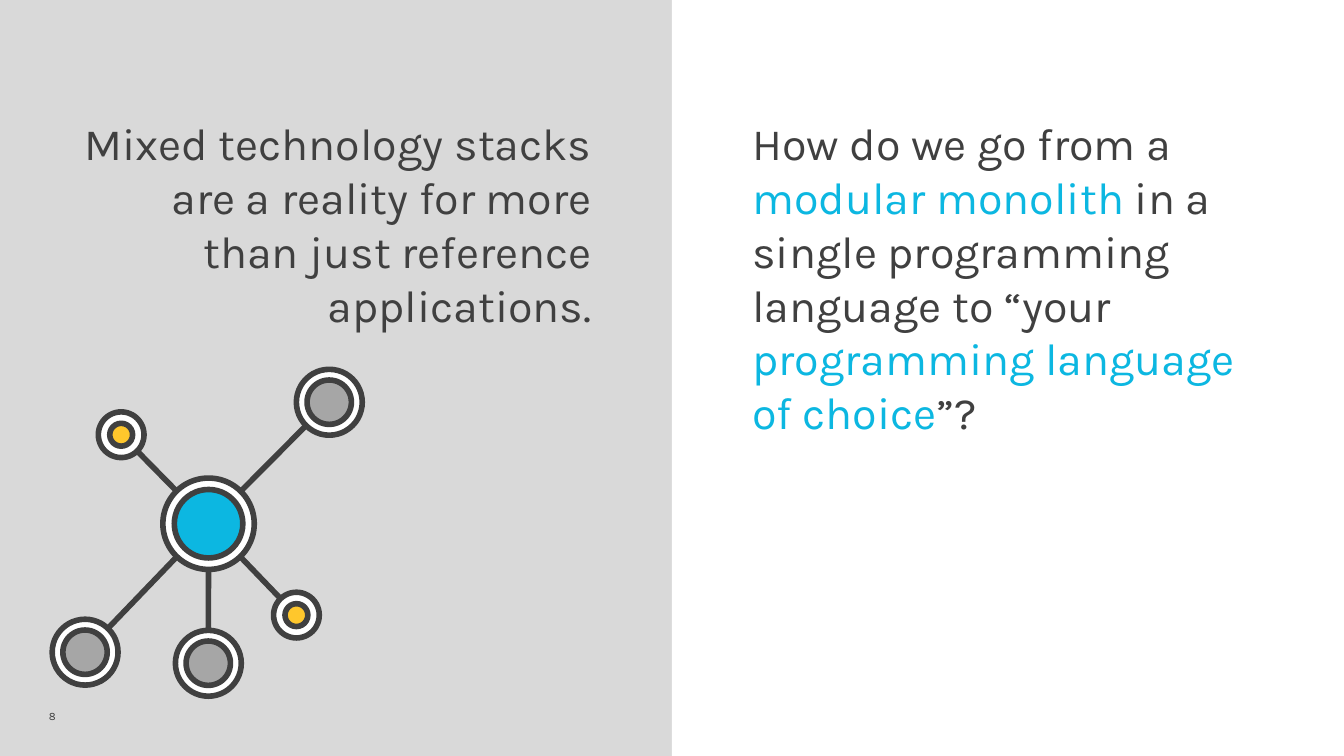
from math import hypot

from lxml import etree
from pptx import Presentation
from pptx.dml.color import RGBColor
from pptx.enum.shapes import MSO_CONNECTOR, MSO_SHAPE
from pptx.enum.text import MSO_ANCHOR, PP_ALIGN
from pptx.oxml.ns import qn
from pptx.util import Inches, Pt

LINE = MSO_CONNECTOR.STRAIGHT
RECT, OVAL = MSO_SHAPE.RECTANGLE, MSO_SHAPE.OVAL
TOP, MIDDLE = MSO_ANCHOR.TOP, MSO_ANCHOR.MIDDLE
LEFT, CENTER, RIGHT = PP_ALIGN.LEFT, PP_ALIGN.CENTER, PP_ALIGN.RIGHT

DARK, WHITE, PALE = "404040", "FFFFFF", "D9D9D9"
BLUE, GOLD, GRAY = "0CB7E1", "FFC72C", "A6A6A6"

HUB = (15.52, 38.97, 6.8, 5.1, BLUE)
NODES = [
    (24.5, 29.93, 4.9, 3.3, GRAY),
    (9.02, 32.35, 3.4, 1.7, GOLD),
    (22.06, 45.77, 3.4, 1.7, GOLD),
    (6.33, 48.53, 4.9, 3.3, GRAY),
    (15.5, 49.35, 4.9, 3.3, GRAY),
]


def color(code):
    """Turn a hex string into a colour."""
    return RGBColor.from_string(code)


class Deck:
    """Hold the style and the current slide, on a grid of 100 columns."""

    font = "Karla"
    stroke = Pt(3)

    def __init__(self, wide):
        """Start a 16:9 deck with one blank slide."""
        self.file = Presentation()
        self.file.slide_width = Inches(wide)
        self.file.slide_height = Inches(wide * 9 / 16)
        self.cell = self.file.slide_width / 100
        self.slide = self.file.slides.add_slide(self.file.slide_layouts[6])

    def grid(self, *units):
        """Turn grid units into lengths."""
        return [round(unit * self.cell) for unit in units]

    def back(self, fill):
        """Colour the background."""
        paint = self.slide.background.fill
        paint.solid()
        paint.fore_color.rgb = color(fill)

    def shape(self, kind, box, fill, edge=None, home=None):
        """Add a filled shape, outlined if an edge colour is given."""
        item = (home or self.slide).shapes.add_shape(kind, *self.grid(*box))
        item.shadow.inherit = False
        item.fill.solid()
        item.fill.fore_color.rgb = color(fill)
        if edge:
            item.line.color.rgb = color(edge)
            item.line.width = self.stroke
        else:
            item.line.fill.background()

    def text(self, box, runs, size, align=LEFT, anchor=TOP):
        """Add a wrapped text box of coloured runs."""
        frame = self.slide.shapes.add_textbox(*self.grid(*box)).text_frame
        for name, value in {"word_wrap": True, "vertical_anchor": anchor}.items():
            setattr(frame, name, value)
        para = frame.paragraphs[0]
        para.alignment = align
        look = {"name": self.font, "size": Pt(size)}
        for words, tint in runs:
            run = para.add_run()
            run.text = words
            run.font.color.rgb = color(tint)
            for name, value in look.items():
                setattr(run.font, name, value)

    def link(self, start, end, home):
        """Join the rims of two nodes with a line."""
        dx, dy = end[0] - start[0], end[1] - start[1]
        span = hypot(dx, dy)
        a, b = start[2] / 2 / span, 1 - end[2] / 2 / span
        ends = [start[0] + a * dx, start[1] + a * dy,
                start[0] + b * dx, start[1] + b * dy]
        item = home.shapes.add_connector(LINE, *self.grid(*ends))
        item.line.color.rgb = color(DARK)
        item.line.width = self.stroke
        etree.SubElement(item._element.spPr, qn("a:effectLst"))

    def node(self, x, y, outer, inner, fill, home):
        """Add a white ring around a coloured core."""
        for size, tint in ((outer, WHITE), (inner, fill)):
            box = (x - size / 2, y - size / 2, size, size)
            self.shape(OVAL, box, tint, DARK, home)

    def network(self, hub, nodes):
        """Group a hub with the nodes linked to it."""
        group = self.slide.shapes.add_group_shape()
        for node in nodes:
            self.link(hub, node, group)
        for node in (hub, *nodes):
            self.node(*node, group)


def main():
    """Build and save the slide."""
    deck = Deck(10)
    deck.back(PALE)
    deck.shape(RECT, (50, 0, 50, 56.25), WHITE)
    deck.text((1.7, 51.8, 4.4, 3), [("8", DARK)], 6, CENTER, MIDDLE)
    deck.text((5, 8.15, 40, 40), [
        ("Mixed technology stacks are a reality for more than just "
         "reference applications.", DARK),
    ], 24, RIGHT)
    deck.text((55, 8.15, 40, 40), [
        ("How do we go from a ", DARK),
        ("modular monolith", BLUE),
        (" in a single programming language to “your ", DARK),
        ("programming language of choice", BLUE),
        ("”?", DARK),
    ], 24)
    deck.network(HUB, NODES)
    deck.file.save("out.pptx")


if __name__ == "__main__":
    main()
